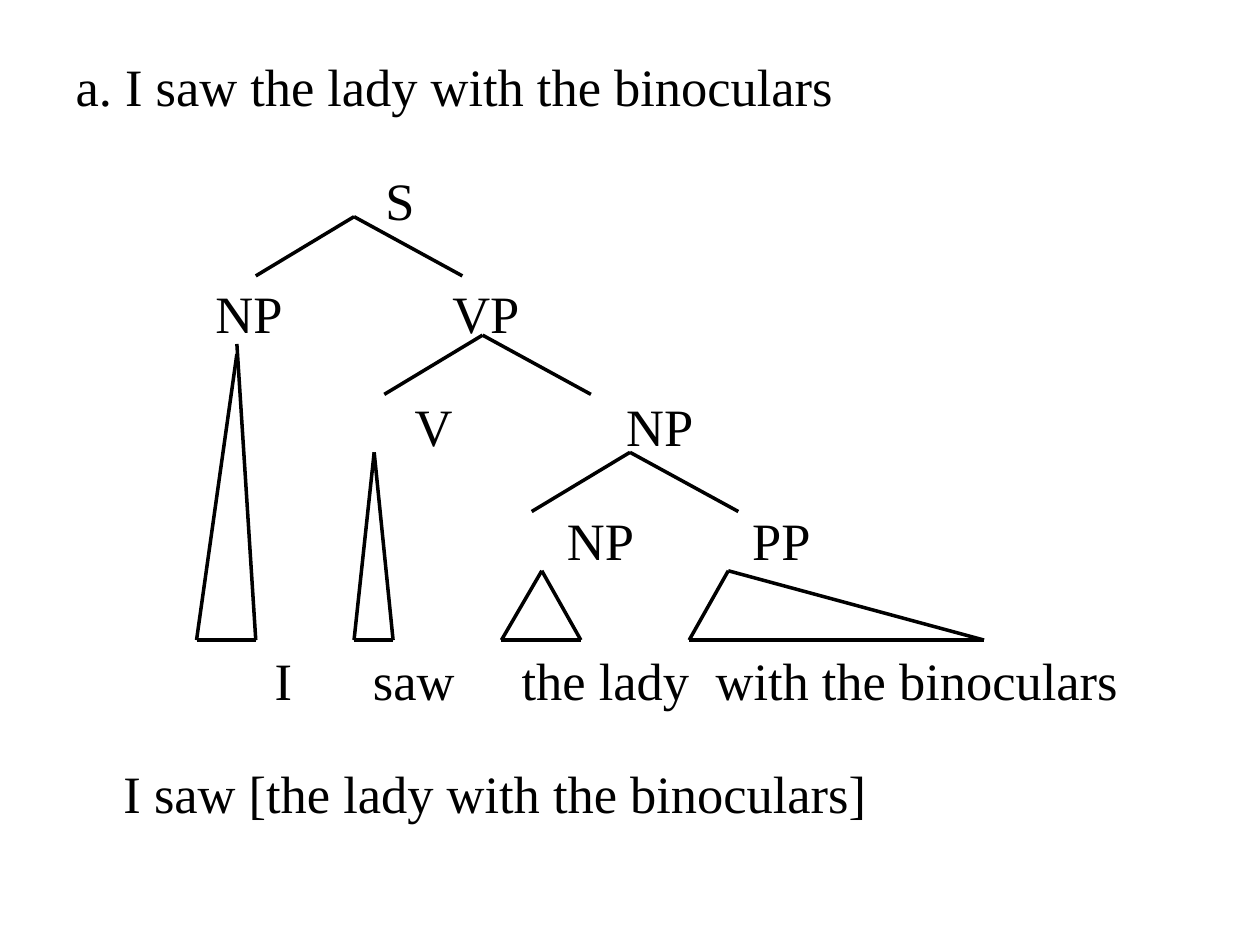
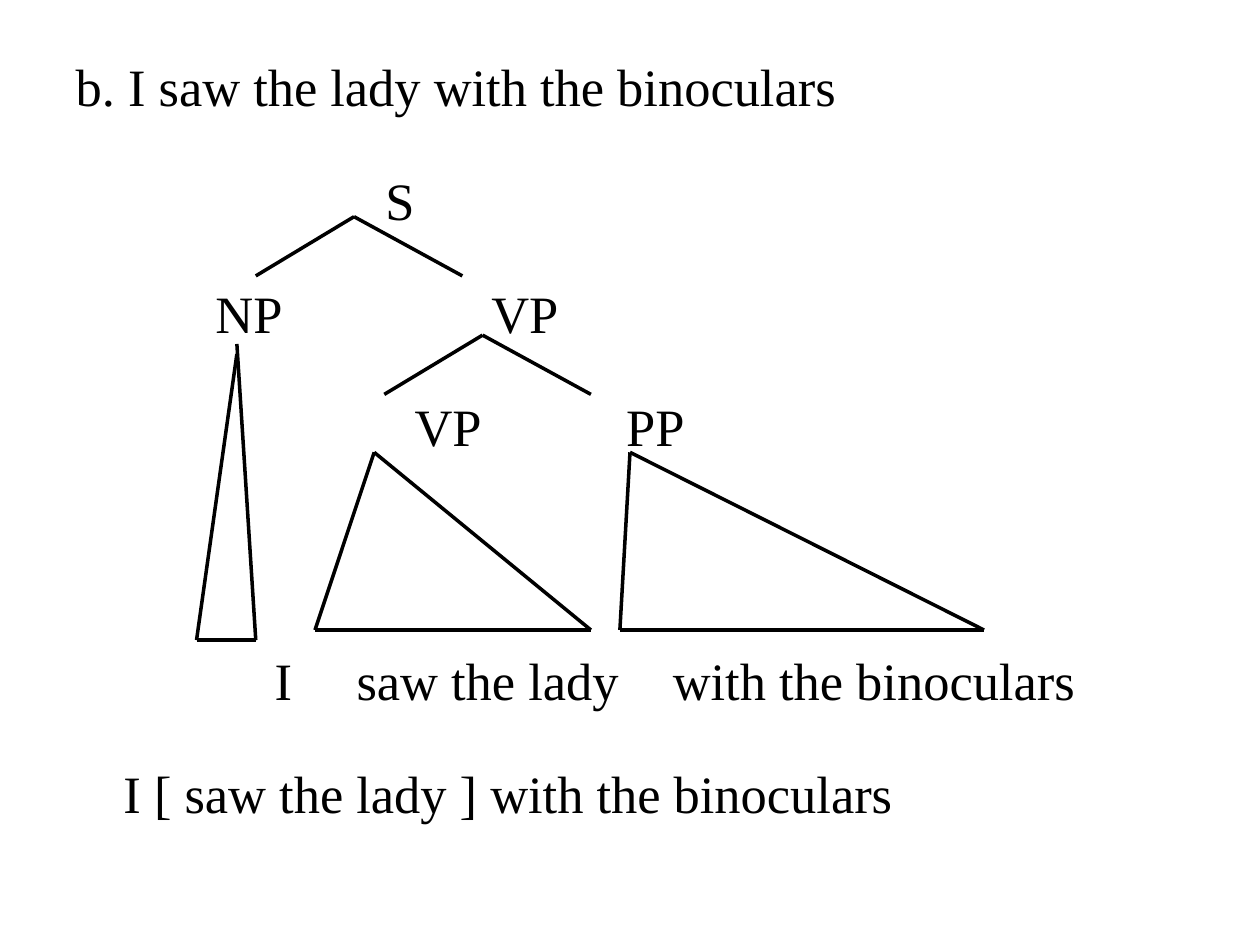
from lxml import etree
from pptx import Presentation
from pptx.dml.color import RGBColor
from pptx.enum.shapes import MSO_CONNECTOR
from pptx.enum.text import MSO_ANCHOR, MSO_AUTO_SIZE, PP_ALIGN
from pptx.oxml.ns import qn
from pptx.util import Inches, Pt

STRAIGHT = MSO_CONNECTOR.STRAIGHT
TOP, LEFT, NO_FIT = MSO_ANCHOR.TOP, PP_ALIGN.LEFT, MSO_AUTO_SIZE.NONE
BLACK = RGBColor.from_string("000000")
WHITE = RGBColor.from_string("FFFFFF")
FONT, SIZE = "Times New Roman", Pt(30)

# Text rows, in inches: heading, four tree levels, then words and bracketing
ROW, FIRST_ROW, LINE_HEIGHT = 0.9, 0.43, 0.5
LEVELS = [FIRST_ROW + ROW * level for level in range(5)]
WORDS_TOP = 5.14
BRACKETING_TOP = WORDS_TOP + ROW
HEADING_LEFT, BRACKETING_LEFT = 0.6, 0.98
TEXT_WIDTH = 8.4

# A fork spreads from its apex to two child nodes
FORK_LEFT, FORK_RIGHT, FORK_DROP = 0.78, 0.86, 0.47
FORK_S, FORK_VP, FORK_NP = (2.81, 1.72), (3.83, 2.66), (5, 3.59)

# Triangle: apex x, apex y of left side and of right side, base left, base right, base y
BASE = 5.08
SUBJECT_TRIANGLE = (1.88, 2.81, 2.73, 1.56, 2.03, BASE)

# Nodes are (text, left, tree level); words are (text, left)
SHARED_NODES = [("S", 3.06, 1), ("NP", 1.71, 2)]
READINGS = [
    {
        "heading": "a. I saw the lady with the binoculars",
        "nodes": [("VP", 3.59, 2), ("V", 3.29, 3), ("NP", 4.97, 3),
                  ("NP", 4.5, 4), ("PP", 5.97, 4)],
        "words": [("I", 2.18), ("saw", 2.96), ("the lady", 4.14),
                  ("with the binoculars", 5.68)],
        "bracketing": "I saw [the lady with the binoculars]",
        "forks": [FORK_S, FORK_VP, FORK_NP],
        "triangles": [(2.97, 3.59, 3.59, 2.81, 3.12, BASE),
                      (4.3, 4.53, 4.53, 3.98, 4.61, BASE),
                      (5.78, 4.53, 4.53, 5.47, 7.81, BASE)],
    },
    {
        "heading": "b. I saw the lady with the binoculars",
        "nodes": [("VP", 3.9, 2), ("VP", 3.29, 3), ("PP", 4.97, 3)],
        "words": [("I", 2.18), ("saw the lady", 2.83),
                  ("with the binoculars", 5.34)],
        "bracketing": "I [ saw the lady ] with the binoculars",
        "forks": [FORK_S, FORK_VP],
        "triangles": [(2.97, 3.59, 3.59, 2.5, 4.69, 5),
                      (5, 3.59, 3.59, 4.92, 7.81, 5)],
    },
]


def write(holder, text, left, top, width):
    """Place a title or text box and set its text in the common style."""
    holder.left, holder.top = Inches(left), Inches(top)
    holder.width, holder.height = Inches(width), Inches(LINE_HEIGHT)
    frame = holder.text_frame
    frame.text = text
    frame.word_wrap = True
    frame.auto_size = NO_FIT
    frame.vertical_anchor = TOP
    frame.margin_left = frame.margin_right = 0
    frame.margin_top = frame.margin_bottom = 0
    paragraph = frame.paragraphs[0]
    paragraph.alignment = LEFT
    paragraph.font.name = FONT
    paragraph.font.size = SIZE
    paragraph.font.color.rgb = BLACK


def draw_branch(slide, start, end):
    branch = slide.shapes.add_connector(
        STRAIGHT, *[Inches(length) for length in (*start, *end)])
    branch.line.color.rgb = BLACK
    branch.line.width = Pt(2)
    properties = branch.line._get_or_add_ln().getparent()
    etree.SubElement(properties, qn("a:effectLst"))


prs = Presentation()
prs.slide_width, prs.slide_height = Inches(10), Inches(7.5)
title_only = prs.slide_layouts[5]

for reading in READINGS:
    slide = prs.slides.add_slide(title_only)
    slide.background.fill.solid()
    slide.background.fill.fore_color.rgb = WHITE
    write(slide.shapes.title, reading["heading"], HEADING_LEFT, LEVELS[0], TEXT_WIDTH)

    labels = [(text, left, LEVELS[level], 0.8)
              for text, left, level in SHARED_NODES + reading["nodes"]]
    labels += [(text, left, WORDS_TOP, 0.4 + 0.17 * len(text))
               for text, left in reading["words"]]
    labels.append((reading["bracketing"], BRACKETING_LEFT, BRACKETING_TOP, TEXT_WIDTH))
    for text, left, top, width in labels:
        write(slide.shapes.add_textbox(0, 0, 0, 0), text, left, top, width)

    for x, y in reading["forks"]:
        for spread in (-FORK_LEFT, FORK_RIGHT):
            draw_branch(slide, (x, y), (x + spread, y + FORK_DROP))

    for x, left_y, right_y, base_left, base_right, base in [
            SUBJECT_TRIANGLE, *reading["triangles"]]:
        draw_branch(slide, (x, left_y), (base_left, base))
        draw_branch(slide, (x, right_y), (base_right, base))
        draw_branch(slide, (base_left, base), (base_right, base))

prs.save("out.pptx")
